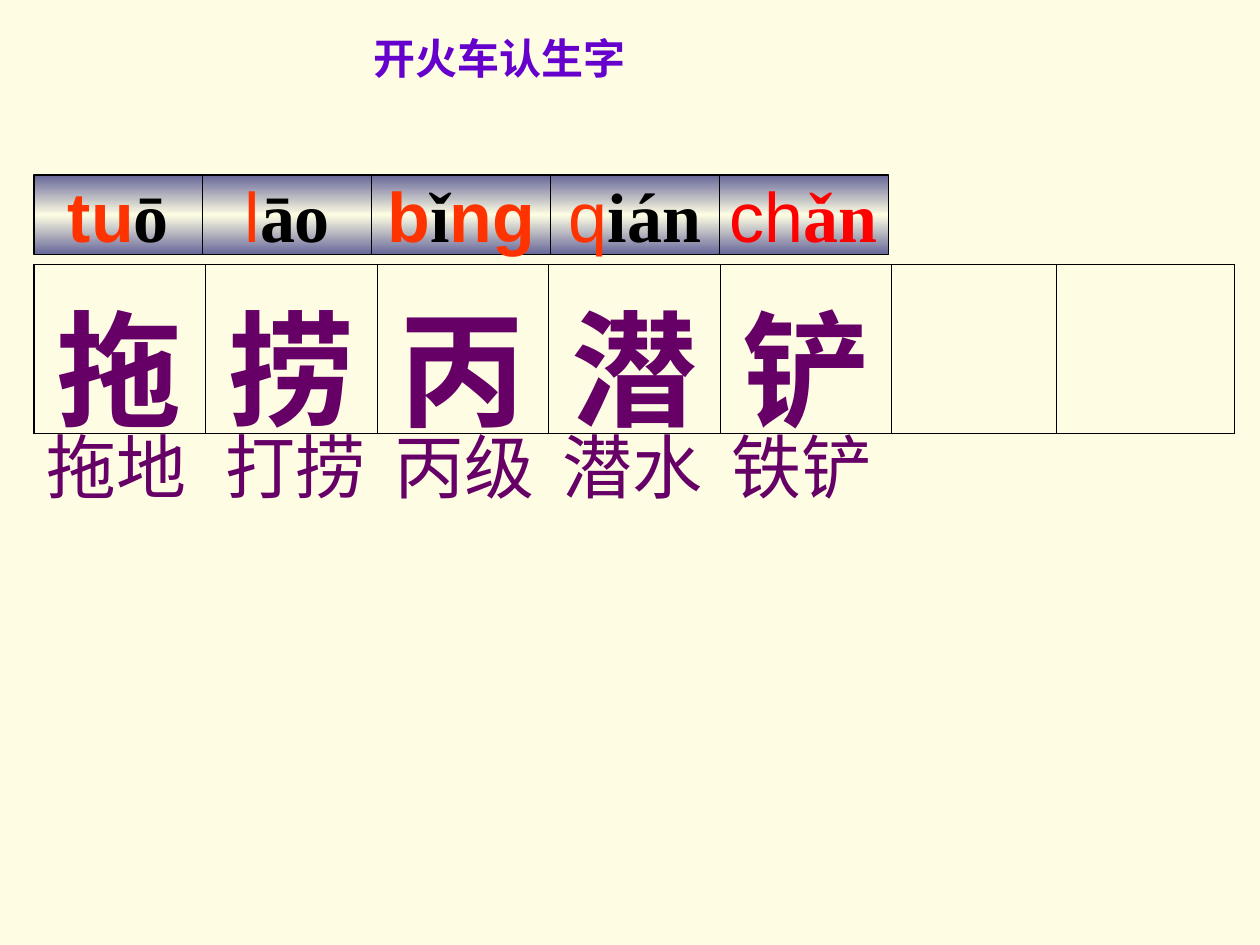
from copy import deepcopy
from itertools import accumulate

from lxml.etree import SubElement
from pptx import Presentation
from pptx.dml.color import RGBColor
from pptx.enum.shapes import MSO_SHAPE
from pptx.enum.text import MSO_ANCHOR, MSO_AUTO_SIZE, PP_ALIGN
from pptx.oxml import parse_xml
from pptx.oxml.ns import qn
from pptx.util import Pt

CJK = "Noto Sans CJK JP"
LATIN = "Arial"
SERIF = "Times New Roman"
CREAM, SLATE, BLACK = "FEFDE3", "666699", "000000"
ORANGE, RED, PURPLE, VIOLET = "FF3300", "FF0000", "660066", "6600CC"
DRAWING = "http://schemas.openxmlformats.org/drawingml/2006/main"

LEFT = 19.44
PINYIN_TOP, PINYIN_HEIGHT = 100, 45.5
TABLE_TOP, TABLE_HEIGHT = 151.2, 96.5
PINYIN_WIDTHS = [96.48, 96.48, 102.24, 96.48, 96.48]
WORD_WIDTHS = [102.24, 96.48, 96.48, 96.48, 96.48]
CHARACTER_WIDTHS = [98] * 5 + [94, 102]

PINYIN = [
    [("tu", LATIN, ORANGE, True), ("ō", SERIF, BLACK, True)],
    [("l", LATIN, ORANGE, False), ("āo", SERIF, BLACK, True)],
    [("b", LATIN, ORANGE, True), ("ǐ", SERIF, BLACK, True), ("ng", LATIN, ORANGE, True)],
    [("q", LATIN, ORANGE, False), ("ián", SERIF, BLACK, True)],
    [("ch", LATIN, RED, False), ("ǎn", SERIF, RED, True)],
]
CHARACTERS = ["拖", "捞", "丙", "潜", "铲"]
WORDS = ["拖地", "打捞", "丙级", "潜水", "铁铲"]


def color(value):
    return RGBColor.from_string(value)


def left_edges(widths):
    return list(accumulate(widths[:-1], initial=LEFT))


def format_span(span, font, size, value, bold=False):
    span.font.name = font
    span.font.size = Pt(size)
    span.font.bold = bold
    span.font.color.rgb = color(value)
    SubElement(span.font._element, qn("a:ea"), typeface=CJK)


def add_text(page, text, left, top, width, height, font, size, value, bold=False):
    box = page.shapes.add_textbox(Pt(left), Pt(top), Pt(width), Pt(height))
    box.text_frame.text = text
    box.text_frame.word_wrap = True
    format_span(box.text_frame.paragraphs[0].runs[0], font, size, value, bold)
    return box.text_frame


def fill_with_band(shape):
    shape.fill.gradient()
    shape.fill.gradient_angle = 270
    stop_list = shape._element.spPr.find(qn("a:gradFill")).find(qn("a:gsLst"))
    stop_list.insert(1, deepcopy(stop_list[0]))
    for stop, position, value in zip(shape.fill.gradient_stops, (0, 0.5, 1), (SLATE, CREAM, SLATE)):
        stop.position = position
        stop.color.rgb = color(value)


def add_pinyin(page, parts, left, width):
    box = page.shapes.add_shape(
        MSO_SHAPE.RECTANGLE, Pt(left), Pt(PINYIN_TOP), Pt(width), Pt(PINYIN_HEIGHT)
    )
    box.shadow.inherit = False
    fill_with_band(box)
    box.line.color.rgb = color(BLACK)
    box.line.width = Pt(0.75)
    box.text_frame.word_wrap = False
    box.text_frame.vertical_anchor = MSO_ANCHOR.MIDDLE
    paragraph = box.text_frame.paragraphs[0]
    paragraph.alignment = PP_ALIGN.CENTER
    for text, font, value, bold in parts:
        span = paragraph.add_run()
        span.text = text
        format_span(span, font, 40, value, bold)


def set_borders(cell, widths):
    properties = cell._tc.get_or_add_tcPr()
    for index, (side, width) in enumerate(zip("LRTB", widths)):
        border = parse_xml(
            f'<a:ln{side} xmlns:a="{DRAWING}" w="{int(Pt(width))}"><a:solidFill>'
            f'<a:srgbClr val="{BLACK}"/></a:solidFill></a:ln{side}>'
        )
        properties.insert(index, border)


def add_character_table(page):
    count = len(CHARACTER_WIDTHS)
    table = page.shapes.add_table(
        1, count, Pt(LEFT), Pt(TABLE_TOP), Pt(sum(CHARACTER_WIDTHS)), Pt(TABLE_HEIGHT)
    ).table
    table.first_row = False
    table.horz_banding = False
    for column, width in zip(table.columns, CHARACTER_WIDTHS):
        column.width = Pt(width)
    for index in range(count):
        cell = table.cell(0, index)
        cell.fill.background()
        left = 1.08 if index == 0 else 0.45
        right = 1.08 if index == count - 1 else 0.45
        set_borders(cell, (left, right, 1.08, 1.08))
    for index, character in enumerate(CHARACTERS):
        cell = table.cell(0, index)
        cell.text = character
        paragraph = cell.text_frame.paragraphs[0]
        paragraph.alignment = PP_ALIGN.CENTER
        format_span(paragraph.runs[0], SERIF, 72, PURPLE, True)


def main():
    deck = Presentation()
    deck.slide_width, deck.slide_height = Pt(720), Pt(540)
    page = deck.slides.add_slide(deck.slide_layouts[6])
    page.background.fill.solid()
    page.background.fill.fore_color.rgb = color(CREAM)

    title = add_text(page, "开火车认生字", 206.6, 15.1, 351.4, 56.9, CJK, 24, VIOLET, True)
    title.word_wrap = False

    for parts, left, width in zip(PINYIN, left_edges(PINYIN_WIDTHS), PINYIN_WIDTHS):
        add_pinyin(page, parts, left, width)
    add_character_table(page)
    for word, left in zip(WORDS, left_edges(WORD_WIDTHS)):
        frame = add_text(page, word, left, TABLE_TOP + TABLE_HEIGHT, 96.48, 46, LATIN, 40, PURPLE)
        frame.auto_size = MSO_AUTO_SIZE.SHAPE_TO_FIT_TEXT
        frame.paragraphs[0].line_spacing = 0.8

    deck.save("out.pptx")


if __name__ == "__main__":
    main()
